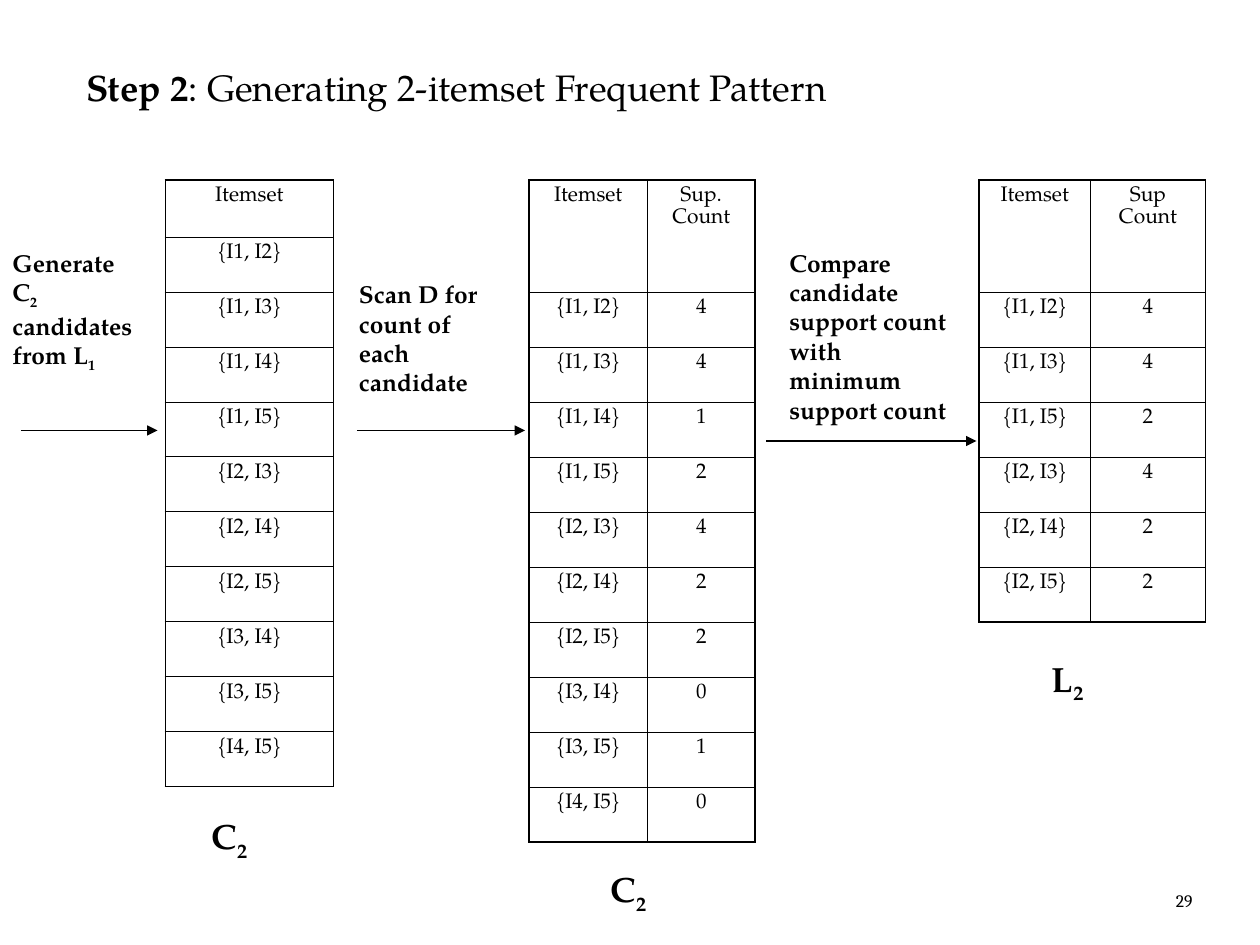
"""Build the slide on generating the 2-itemset frequent pattern."""
from lxml import etree
from pptx import Presentation
from pptx.dml.color import RGBColor
from pptx.enum.shapes import MSO_CONNECTOR
from pptx.enum.text import MSO_ANCHOR, MSO_AUTO_SIZE, PP_ALIGN
from pptx.oxml.ns import qn
from pptx.util import Pt

LEFT, CENTER, RIGHT = PP_ALIGN.LEFT, PP_ALIGN.CENTER, PP_ALIGN.RIGHT
TOP, BOTTOM = MSO_ANCHOR.TOP, MSO_ANCHOR.BOTTOM
FIXED, GROW = MSO_AUTO_SIZE.NONE, MSO_AUTO_SIZE.SHAPE_TO_FIT_TEXT
STRAIGHT = MSO_CONNECTOR.STRAIGHT
BLACK = RGBColor(0, 0, 0)
SERIF, NUMBER_FONT = "TeX Gyre Pagella", "Cambria"
OUTER, INNER = 1.08, 0.45
TABLE_TOP, ROW_HEIGHT = 103, 31.43

TITLE_FORMAT = {"name": SERIF, "size": Pt(21)}
CELL_FORMAT = {"name": SERIF, "size": Pt(12), "bold": False}
STEP_FORMAT = {"name": SERIF, "size": Pt(14), "bold": True}
CAPTION_FORMAT = {"name": SERIF, "size": Pt(20), "bold": True}
NUMBER_FORMAT = {"name": NUMBER_FONT, "size": Pt(10), "bold": False}

TITLE = [("Step 2", True), (": Generating 2-itemset Frequent Pattern", False)]
PAGE_NUMBER = "29"
CANDIDATES = ["{I1, I2}", "{I1, I3}", "{I1, I4}", "{I1, I5}", "{I2, I3}",
              "{I2, I4}", "{I2, I5}", "{I3, I4}", "{I3, I5}", "{I4, I5}"]
COUNTS = [4, 4, 1, 2, 4, 2, 2, 0, 1, 0]
MINIMUM_COUNT = 2
counted = list(zip(CANDIDATES, COUNTS))
frequent = [row for row in counted if row[1] >= MINIMUM_COUNT]

TABLES = [
    (94.5, [96], 32.4, [("Itemset",)] + [(itemset,) for itemset in CANDIDATES]),
    (302.4, [67.5, 61.7], 64, [("Itemset", "Sup.\nCount")] + counted),
    (559.6, [63.5, 65.8], 64, [("Itemset", "Sup\nCount")] + frequent),
]
ARROWS = [(12, 90, 246), (204, 300, 246), (438, 558, 252)]
STEPS = [
    (0, 138, 90, 79, [("Generate C", False), ("2 ", True),
                      ("candidates from L", False), ("1", True)]),
    (198, 156, 90, 75, [("Scan D for count of each candidate", False)]),
    (444, 138, 108, 125,
     [("Compare candidate support count with minimum support count", False)]),
]
CAPTIONS = [("C", 114, 462), ("C", 342, 492), ("L", 594, 372)]


def format_font(font, values):
    for attribute, value in values.items():
        setattr(font, attribute, value)
    font.color.rgb = BLACK


def add_text(slide, box, runs, values, align=LEFT, anchor=TOP, auto_size=GROW):
    frame = slide.shapes.add_textbox(*map(Pt, box)).text_frame
    frame.word_wrap = True
    frame.auto_size = auto_size
    frame.vertical_anchor = anchor
    paragraph = frame.paragraphs[0]
    paragraph.alignment = align
    for text, subscript in runs:
        run = paragraph.add_run()
        run.text = text
        format_font(run.font, values)
        if subscript:
            run.font._element.set("baseline", "-25000")


def add_border(cell, side, width):
    line = etree.SubElement(cell._tc.get_or_add_tcPr(), qn(f"a:ln{side}"),
                            w=str(Pt(width)))
    fill = etree.SubElement(line, qn("a:solidFill"))
    etree.SubElement(fill, qn("a:srgbClr"), val=str(BLACK))


def add_itemset_table(slide, left, widths, header_height, rows):
    last_row, last_column = len(rows) - 1, len(widths) - 1
    height = header_height + last_row * ROW_HEIGHT
    table = slide.shapes.add_table(
        len(rows), len(widths), Pt(left), Pt(TABLE_TOP),
        Pt(sum(widths)), Pt(height)).table
    table.first_row = table.horz_banding = False
    for column, width in zip(table.columns, widths):
        column.width = Pt(width)
    for r, values in enumerate(rows):
        table.rows[r].height = Pt(ROW_HEIGHT if r else header_height)
        for c, value in enumerate(values):
            cell = table.cell(r, c)
            cell.text = str(value)
            for paragraph in cell.text_frame.paragraphs:
                paragraph.alignment = CENTER
                format_font(paragraph.runs[0].font, CELL_FORMAT)
            edges = {"L": c == 0, "R": c == last_column,
                     "T": r == 0, "B": r == last_row}
            for side, is_outer in edges.items():
                add_border(cell, side, OUTER if is_outer else INNER)
            cell.fill.background()


def add_arrow(slide, start, end, y):
    arrow = slide.shapes.add_connector(STRAIGHT, Pt(start), Pt(y), Pt(end), Pt(y))
    arrow.line.color.rgb = BLACK
    arrow.line.width = Pt(0.75)
    etree.SubElement(arrow.line._get_or_add_ln(), qn("a:tailEnd"), type="triangle")
    etree.SubElement(arrow._element.spPr, qn("a:effectLst"))


def add_title(slide):
    title = slide.shapes.title
    title.left, title.top, title.width, title.height = map(Pt, (42, 18, 648, 48))
    frame = title.text_frame
    frame.auto_size = FIXED
    frame.vertical_anchor = BOTTOM
    paragraph = frame.paragraphs[0]
    paragraph.alignment = LEFT
    for text, bold in TITLE:
        run = paragraph.add_run()
        run.text = text
        format_font(run.font, {**TITLE_FORMAT, "bold": bold})


def main():
    deck = Presentation()
    deck.slide_width, deck.slide_height = Pt(720), Pt(540)
    slide = deck.slides.add_slide(deck.slide_layouts[5])
    add_text(slide, (538.5, 497, 150, 27), [(PAGE_NUMBER, False)],
             NUMBER_FORMAT, RIGHT, BOTTOM, FIXED)
    add_title(slide)
    for table in TABLES:
        add_itemset_table(slide, *table)
    for arrow in ARROWS:
        add_arrow(slide, *arrow)
    for *box, runs in STEPS:
        add_text(slide, box, runs, STEP_FORMAT)
    for letter, left, top in CAPTIONS:
        add_text(slide, (left, top, 42, 34.5), [(letter, False), ("2", True)],
                 CAPTION_FORMAT)
    deck.save("out.pptx")


if __name__ == "__main__":
    main()
